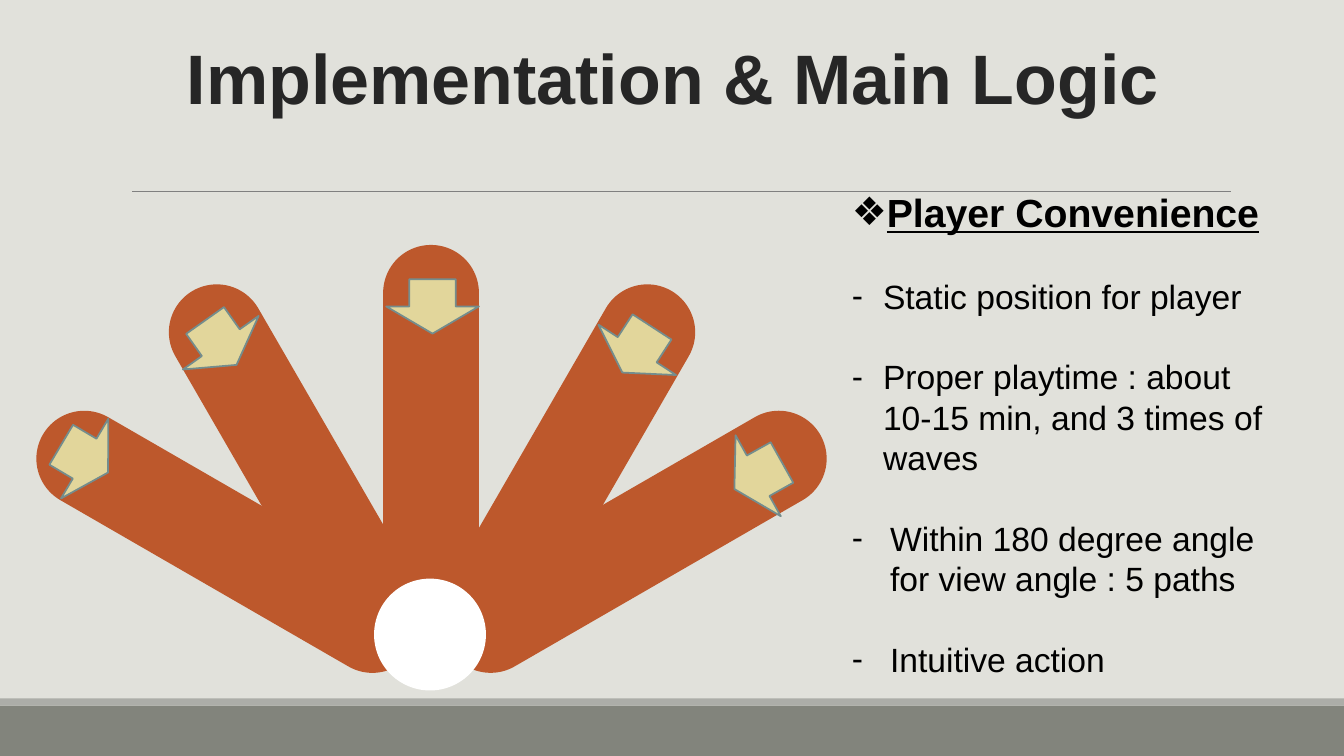
from pptx import Presentation
from pptx.dml.color import RGBColor
from pptx.enum.shapes import MSO_CONNECTOR as Link, MSO_SHAPE as Kind
from pptx.enum.text import MSO_ANCHOR as Anchor, PP_ALIGN as Align
from pptx.oxml.ns import qn
from pptx.util import Inches, Pt
from lxml.etree import SubElement as Sub


class Deck:
    font = "Arial"
    hues = {
        "back": "E1E1DB", "band": "82847C", "strip": "ACADA8",
        "rule": "808080", "title": "262626", "body": "000000",
        "lane": "BD582C", "hub": "FFFFFF", "arrow": "E2D69B",
        "edge": "748D8D",
    }

    def __init__(self):
        self.show = Presentation()
        self.show.slide_width = Inches(13.33)
        self.show.slide_height = Inches(7.5)
        self.slide = self.show.slides.add_slide(self.show.slide_layouts[6])
        fill = self.slide.background.fill
        fill.solid()
        fill.fore_color.rgb = self.hue("back")

    def hue(self, name):
        return RGBColor.from_string(self.hues[name])

    def shape(self, kind, box, fill, edge=None, turn=0):
        item = self.slide.shapes.add_shape(kind, *map(Inches, box))
        item.shadow.inherit = False
        item.fill.solid()
        item.fill.fore_color.rgb = self.hue(fill)
        if edge:
            item.line.color.rgb = self.hue(edge)
            item.line.width = Pt(1.25)
        else:
            item.line.fill.background()
        item.rotation = turn
        return item

    def lane(self, left, top, turn):
        item = self.shape(Kind.ROUNDED_RECTANGLE, (left, top, 0.95, 4.25),
                          "lane", turn=turn)
        item.adjustments[0] = 0.5

    def arrow(self, left, top, turn):
        self.shape(Kind.DOWN_ARROW, (left, top, 0.92, 0.54),
                   "arrow", "edge", turn)

    def rule(self, left, right, top):
        ends = map(Inches, (left, top, right, top))
        item = self.slide.shapes.add_connector(Link.STRAIGHT, *ends)
        item.line.color.rgb = self.hue("rule")
        item.line.width = Pt(0.5)
        Sub(item._element.spPr, qn("a:effectLst"))

    def frame(self, box):
        frame = self.slide.shapes.add_textbox(*map(Inches, box)).text_frame
        frame.word_wrap = True
        return frame

    def style(self, para, size, hue, bold=False):
        font = para.font
        font.name = self.font
        font.size = Pt(size)
        font.bold = bold
        font.color.rgb = self.hue(hue)

    def title(self, text, box):
        frame = self.frame(box)
        frame.margin_left = frame.margin_right = 0
        frame.vertical_anchor = Anchor.MIDDLE
        para = frame.paragraphs[0]
        para.text = text
        para.alignment = Align.CENTER
        para.line_spacing = 0.8
        self.style(para, 50, "title", True)

    def bullet(self, para, mark, dent):
        props = para._p.get_or_add_pPr()
        props.set("marL", str(Inches(dent)))
        props.set("indent", str(-Inches(dent)))
        Sub(props, qn("a:buFont"), typeface=self.font)
        Sub(props, qn("a:buChar"), char=mark)

    def notes(self, head, items, box):
        frame = self.frame(box)
        para = frame.paragraphs[0]
        para.text = head
        self.bullet(para, "❖", 0.31)
        para.line_spacing = Pt(33.6)
        self.style(para, 28, "body", True)
        para.font.underline = True
        for text, dent in items:
            para = frame.add_paragraph()
            para.text = text
            self.bullet(para, "-", dent)
            para.line_spacing = para.space_before = Pt(28.8)
            self.style(para, 24, "body")

    def save(self):
        self.show.save("out.pptx")


def main():
    deck = Deck()
    deck.shape(Kind.RECTANGLE, (0, 7, 13.33, 0.5), "band")
    deck.shape(Kind.RECTANGLE, (0, 6.93, 13.33, 0.07), "strip")
    deck.rule(1.31, 12.21, 1.9)
    deck.title("Implementation & Main Logic", (0.35, 0.44, 12.66, 0.79))

    for lane in ((5.82, 3.25, 60), (1.79, 3.25, -60), (3.8, 2.43, 0),
                 (5.12, 2.6, 30), (2.5, 2.6, -30)):
        deck.lane(*lane)
    deck.shape(Kind.OVAL, (3.71, 5.74, 1.11, 1.11), "hub")
    for arrow in ((3.83, 2.77, 0), (5.86, 3.2, 33), (7.06, 4.45, 60.8),
                  (1.73, 3.13, -35.3), (0.38, 4.28, -59.3)):
        deck.arrow(*arrow)

    deck.notes("Player Convenience", (
        ("Static position for player", 0.31),
        ("Proper playtime : about 10-15 min, and 3 times of waves", 0.31),
        ("Within 180 degree angle for view angle : 5 paths", 0.38),
        ("Intuitive action", 0.38),
    ), (8.35, 1.82, 4.43, 5.1))
    deck.save()


if __name__ == "__main__":
    main()
